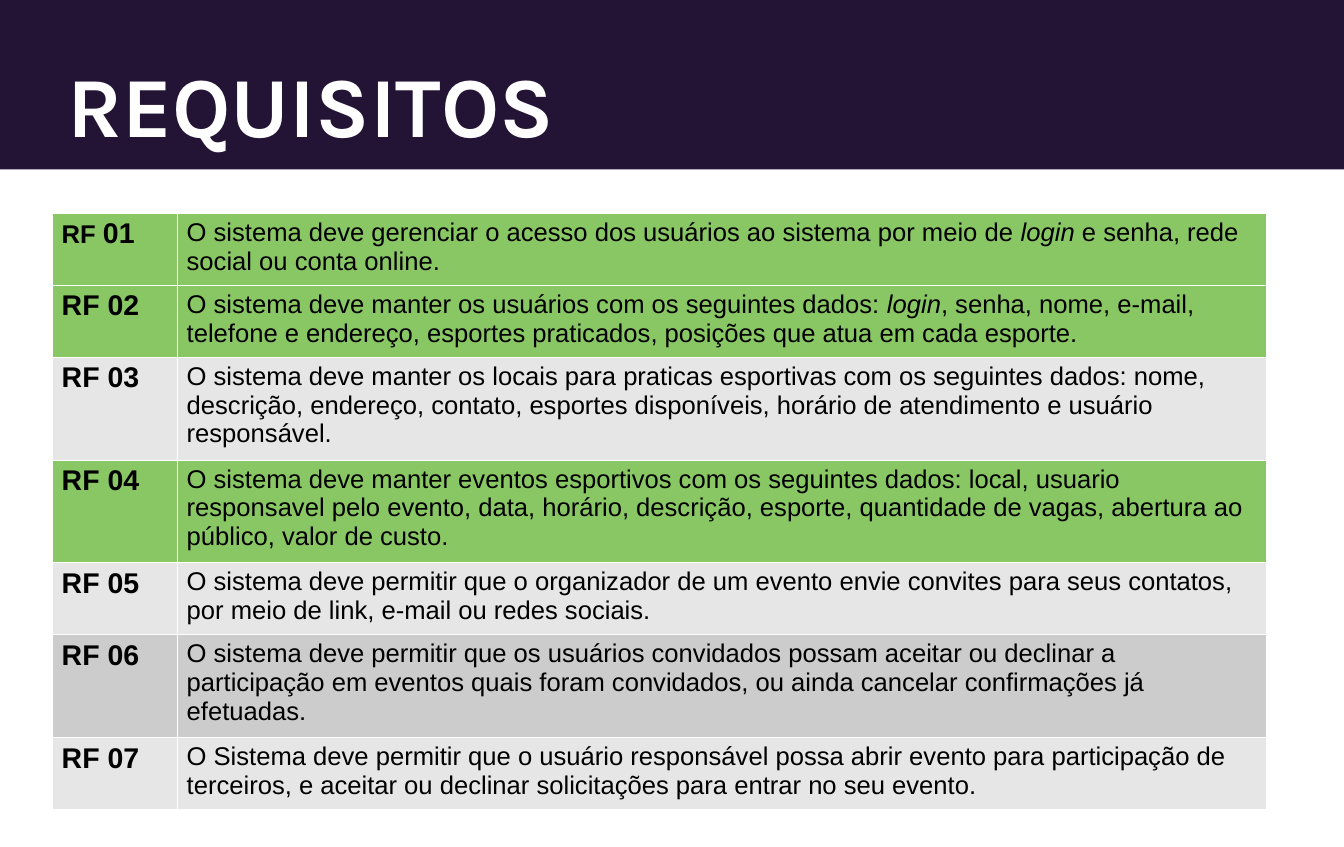
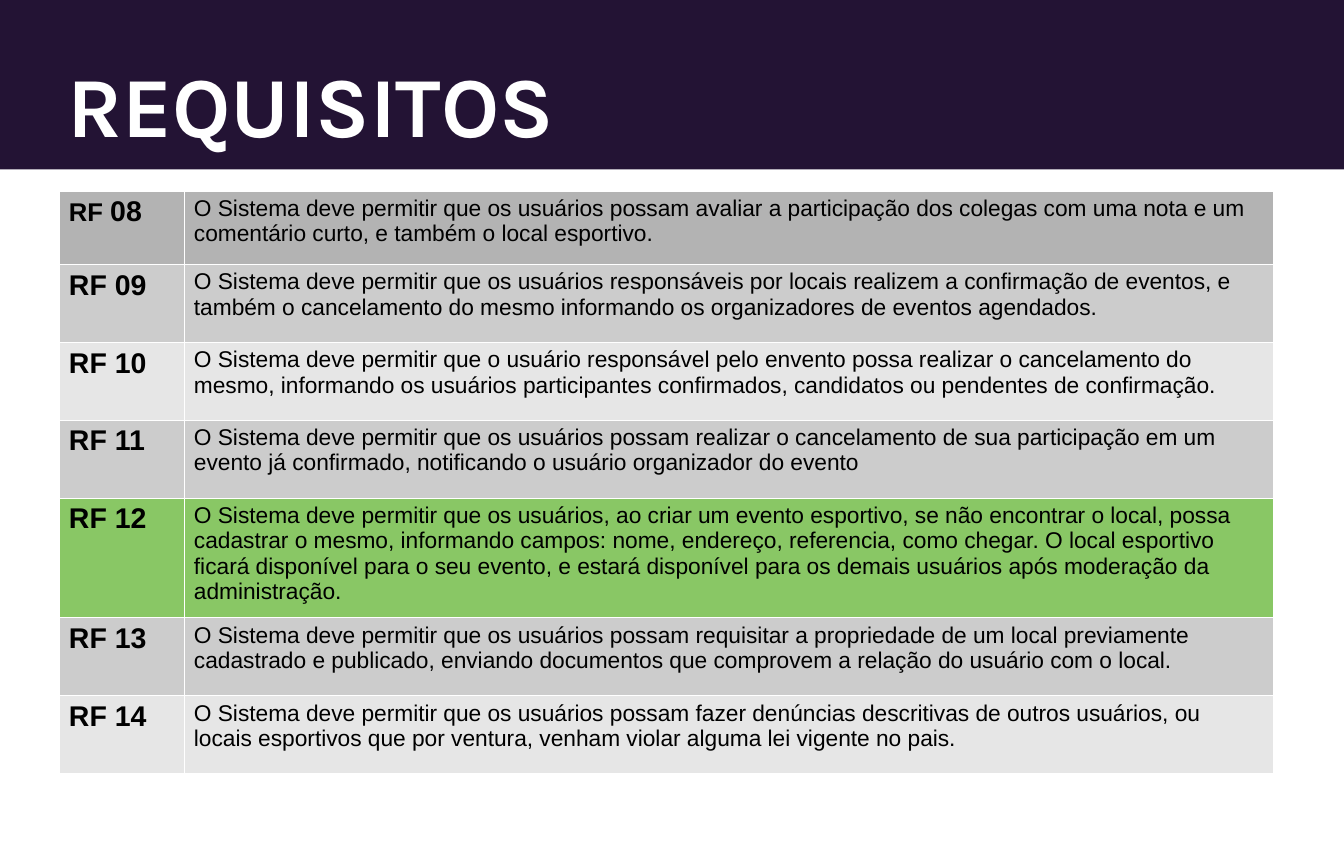
from lxml import etree
from pptx import Presentation
from pptx.dml.color import RGBColor
from pptx.enum import shapes, text
from pptx.oxml import ns
from pptx.util import Cm, Pt

PURPLE = RGBColor(0x23, 0x13, 0x34)
WHITE = RGBColor(0xFF, 0xFF, 0xFF)
BLACK = RGBColor(0, 0, 0)
GREEN = RGBColor(0x89, 0xC7, 0x65)
LIGHT = RGBColor(0xE6, 0xE6, 0xE6)
MEDIUM = RGBColor(0xCC, 0xCC, 0xCC)
DARK = RGBColor(0xB3, 0xB3, 0xB3)

BORDER_WIDTH = Pt(0.06)
COLUMN_WIDTHS = (3.1, 27.02)

PAGES = [
    {
        "left": 1.28, "top": 5.28, "size": 18, "first": 1,
        "rows": [
            (1.68, GREEN, "O sistema deve gerenciar o acesso dos usuários ao sistema por meio de login e senha, rede social ou conta online."),
            (1.68, GREEN, "O sistema deve manter os usuários com os seguintes dados: login, senha, nome, e-mail, telefone e endereço, esportes praticados, posições que atua em cada esporte."),
            (2.39, LIGHT, "O sistema deve manter os locais para praticas esportivas com os seguintes dados: nome, descrição, endereço, contato, esportes disponíveis, horário de atendimento e usuário responsável."),
            (2.39, GREEN, "O sistema deve manter eventos esportivos com os seguintes dados: local, usuario responsavel pelo evento, data, horário, descrição, esporte, quantidade de vagas, abertura ao público, valor de custo."),
            (1.68, LIGHT, "O sistema deve permitir que o organizador de um evento envie convites para seus contatos, por meio de link, e-mail ou redes sociais."),
            (2.39, MEDIUM, "O sistema deve permitir que os usuários convidados possam aceitar ou declinar a participação em eventos quais foram convidados, ou ainda cancelar confirmações já efetuadas."),
            (1.68, LIGHT, "O Sistema deve permitir que o usuário responsável possa abrir evento para participação de terceiros, e aceitar ou declinar solicitações para entrar no seu evento."),
        ],
    },
    {
        "left": 1.46, "top": 4.73, "size": 16, "first": 8,
        "rows": [
            (1.82, DARK, "O Sistema deve permitir que os usuários possam avaliar a participação dos colegas com uma nota e um comentário curto, e também o local esportivo."),
            (1.93, MEDIUM, "O Sistema deve permitir que os usuários responsáveis por locais realizem a confirmação de eventos, e também o cancelamento do mesmo informando os organizadores de eventos agendados."),
            (1.93, LIGHT, "O Sistema deve permitir que o usuário responsável pelo envento possa realizar o cancelamento do mesmo, informando os usuários participantes confirmados, candidatos ou pendentes de confirmação."),
            (1.93, MEDIUM, "O Sistema deve permitir que os usuários possam realizar o cancelamento de sua participação em um evento já confirmado, notificando o usuário organizador do evento"),
            (2.77, GREEN, "O Sistema deve permitir que os usuários, ao criar um evento esportivo, se não encontrar o local, possa cadastrar o mesmo, informando campos: nome, endereço, referencia, como chegar. O local esportivo ficará disponível para o seu evento, e estará disponível para os demais usuários após moderação da administração."),
            (1.93, MEDIUM, "O Sistema deve permitir que os usuários possam requisitar a propriedade de um local previamente cadastrado e publicado, enviando documentos que comprovem a relação do usuário com o local."),
            (1.93, LIGHT, "O Sistema deve permitir que os usuários possam fazer denúncias descritivas de outros usuários, ou locais esportivos que por ventura, venham violar alguma lei vigente no pais."),
        ],
    },
]


def add_span(para, content, size, color=BLACK, font="Arial", bold=False, italic=False):
    span = para.add_run()
    span.text = content
    span.font.name = font
    span.font.size = Pt(size)
    span.font.bold = bold
    span.font.italic = italic
    span.font.color.rgb = color


def style_cell(cell, color):
    cell.margin_left = cell.margin_right = Cm(0.25)
    cell.margin_top = cell.margin_bottom = Cm(0.13)
    cell.fill.solid()
    cell.fill.fore_color.rgb = color
    properties = cell._tc.get_or_add_tcPr()
    for position, side in enumerate(("lnL", "lnR", "lnT", "lnB")):
        line = etree.Element(ns.qn("a:" + side), w=str(BORDER_WIDTH))
        fill = etree.SubElement(line, ns.qn("a:solidFill"))
        etree.SubElement(fill, ns.qn("a:srgbClr"), val=str(WHITE))
        properties.insert(position, line)


deck = Presentation()
deck.slide_width = Cm(33.33)
deck.slide_height = Cm(21)

for page in PAGES:
    slide = deck.slides.add_slide(deck.slide_layouts[6])

    band = slide.shapes.add_shape(shapes.MSO_SHAPE.RECTANGLE, 0, 0, deck.slide_width, Cm(4.2))
    band.shadow.inherit = False
    band.fill.solid()
    band.fill.fore_color.rgb = PURPLE
    band.line.fill.background()

    box = slide.shapes.add_textbox(Cm(1.67), Cm(0.33), Cm(30), Cm(3.5))
    frame = box.text_frame
    frame.word_wrap = True
    frame.vertical_anchor = text.MSO_ANCHOR.BOTTOM
    frame.margin_left = frame.margin_right = frame.margin_top = frame.margin_bottom = 0
    add_span(frame.paragraphs[0], "REQUISITOS", 60, WHITE, "Karla", bold=True)

    rows = page["rows"]
    height = sum(row[0] for row in rows)
    table = slide.shapes.add_table(
        len(rows), 2, Cm(page["left"]), Cm(page["top"]), Cm(sum(COLUMN_WIDTHS)), Cm(height)
    ).table
    table.first_row = table.horz_banding = False
    for column, width in zip(table.columns, COLUMN_WIDTHS):
        column.width = Cm(width)

    for index, (row_height, color, requirement) in enumerate(rows):
        table.rows[index].height = Cm(row_height)
        label, description = table.rows[index].cells
        style_cell(label, color)
        style_cell(description, color)

        number = f"{page['first'] + index:02d}"
        label_spans = [("RF ", 18), (number, 20)] if index == 0 else [("RF " + number, 20)]
        for content, size in label_spans:
            add_span(label.text_frame.paragraphs[0], content, size, bold=True)

        for content in requirement.partition("login"):
            if content:
                add_span(description.text_frame.paragraphs[0], content, page["size"], italic=content == "login")

deck.save("out.pptx")
